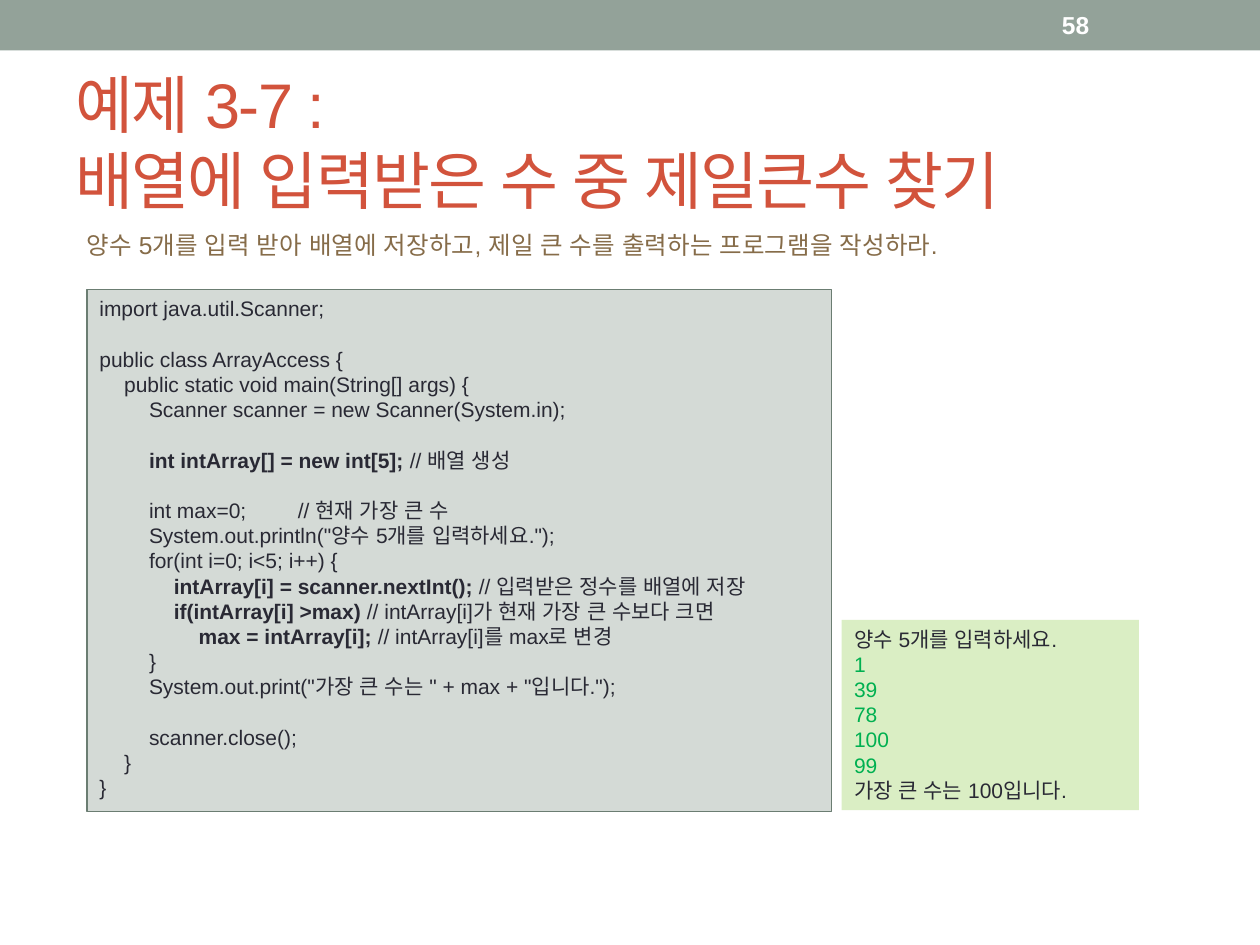
"""Build the slide for example 3-7: finding the largest number in an array."""
from dataclasses import dataclass
from typing import Optional

from lxml.etree import SubElement
from pptx import Presentation
from pptx.dml.color import RGBColor
from pptx.enum.shapes import MSO_SHAPE as Shape
from pptx.enum.text import MSO_ANCHOR as Anchor, MSO_AUTO_SIZE as AutoSize, PP_ALIGN as Align
from pptx.oxml.ns import qn
from pptx.util import Inches, Pt


@dataclass(frozen=True)
class Theme:
    """Colours, type sizes and font of the slide."""
    font: str = "Arial"
    bar: str = "93A299"
    title: str = "D2533C"
    task: str = "866C49"
    ink: str = "292934"
    typed: str = "00B050"
    white: str = "FFFFFF"
    code_fill: str = "D4DAD6"
    code_line: str = "6B7D72"
    console_fill: str = "DAEEC4"
    title_size: float = 36
    task_size: float = 14
    code_size: float = 12
    leading: float = 1.2
    tab: float = 0.197


@dataclass(frozen=True)
class Box:
    """Left, top, width and height in inches."""
    left: float
    top: float
    width: float
    height: float

    def lengths(self):
        """Return the four measures as lengths."""
        return [Inches(n) for n in (self.left, self.top, self.width, self.height)]


@dataclass(frozen=True)
class CodeLine:
    """One line of code: depth, plain part, bold part and closing comment."""
    depth: int = 0
    plain: str = ""
    strong: str = ""
    note: str = ""


THEME = Theme()

PROGRAM = [
    CodeLine(0, "import java.util.Scanner;"),
    CodeLine(),
    CodeLine(0, "public class ArrayAccess {"),
    CodeLine(1, "public static void main(String[] args) {"),
    CodeLine(2, "Scanner scanner = new Scanner(System.in);"),
    CodeLine(),
    CodeLine(2, strong="int intArray[] = new int[5]; ", note="// 배열 생성"),
    CodeLine(),
    CodeLine(2, "int max=0; \t\t// 현재 가장 큰 수"),
    CodeLine(2, 'System.out.println("양수 5개를 입력하세요.");'),
    CodeLine(2, "for(int i=0; i<5; i++) {"),
    CodeLine(3, strong="intArray[i] = scanner.nextInt(); ", note="// 입력받은 정수를 배열에 저장"),
    CodeLine(3, strong="if(intArray[i] >max) ", note="// intArray[i]가 현재 가장 큰 수보다 크면"),
    CodeLine(4, strong="max = intArray[i]; ", note="// intArray[i]를 max로 변경"),
    CodeLine(2, "}"),
    CodeLine(2, 'System.out.print("가장 큰 수는 " + max + "입니다.");'),
    CodeLine(),
    CodeLine(2, "scanner.close();"),
    CodeLine(1, "}"),
    CodeLine(0, "}"),
]

CONSOLE = [
    ("양수 5개를 입력하세요.", THEME.ink),
    *[(number, THEME.typed) for number in ("1", "39", "78", "100", "99")],
    ("가장 큰 수는 100입니다.", THEME.ink),
]


def add_run(paragraph, text: str, size: float, color: str, bold: bool = False):
    """Append one formatted run and return it."""
    run = paragraph.add_run()
    run.text = text
    run.font.name = THEME.font
    run.font.size = Pt(size)
    run.font.bold = bold
    run.font.color.rgb = RGBColor.from_string(color)
    SubElement(run.font._element, qn("a:ea"), typeface=THEME.font)
    return run


def next_paragraph(frame, index: int, size: float):
    """Return the paragraph at index, adding it when it is not the first."""
    paragraph = frame.add_paragraph() if index else frame.paragraphs[0]
    paragraph.alignment = Align.LEFT
    paragraph.line_spacing = Pt(size * THEME.leading)
    return paragraph


def set_tabs(paragraph, count: int = 10) -> None:
    """Give the paragraph evenly spaced tab stops."""
    stops = SubElement(paragraph._p.get_or_add_pPr(), qn("a:tabLst"))
    for step in range(1, count + 1):
        SubElement(stops, qn("a:tab"), pos=str(Inches(THEME.tab * step)), algn="l")


def add_panel(slide, box: Box, fill: str, line: Optional[str] = None):
    """Draw a flat rectangle and return its text frame."""
    panel = slide.shapes.add_shape(Shape.RECTANGLE, *box.lengths())
    panel.shadow.inherit = False
    panel.fill.solid()
    panel.fill.fore_color.rgb = RGBColor.from_string(fill)
    if line:
        panel.line.color.rgb = RGBColor.from_string(line)
        panel.line.width = Pt(0.75)
    else:
        panel.line.fill.background()
    panel.text_frame.word_wrap = True
    panel.text_frame.vertical_anchor = Anchor.TOP
    return panel.text_frame


def add_label(slide, box: Box, text: str, color: str, anchor: Anchor, bold: bool = False) -> None:
    """Draw a one-line text box."""
    frame = slide.shapes.add_textbox(*box.lengths()).text_frame
    frame.word_wrap = True
    frame.vertical_anchor = anchor
    add_run(next_paragraph(frame, 0, THEME.task_size), text, THEME.task_size, color, bold)


def fill_title(slide, box: Box, lines: list[str]) -> None:
    """Place the title and set its lines."""
    title = slide.shapes.title
    title.left, title.top, title.width, title.height = box.lengths()
    frame = title.text_frame
    frame.word_wrap = True
    frame.auto_size = AutoSize.NONE
    frame.vertical_anchor = Anchor.MIDDLE
    paragraph = next_paragraph(frame, 0, THEME.title_size)
    for index, line in enumerate(lines):
        if index:
            paragraph.add_line_break()
        run = add_run(paragraph, line, THEME.title_size, THEME.title)
        run.font._element.set("spc", "-100")


def fill_code(frame, program: list[CodeLine]) -> None:
    """Write the program with tab indents and bold key statements."""
    for index, line in enumerate(program):
        paragraph = next_paragraph(frame, index, THEME.code_size)
        set_tabs(paragraph)
        paragraph.font.size = Pt(THEME.code_size)
        parts = [("\t" * line.depth + line.plain, False), (line.strong, True), (line.note, False)]
        for text, bold in parts:
            if text:
                add_run(paragraph, text, THEME.code_size, THEME.ink, bold)


def fill_console(frame, lines: list[tuple[str, str]]) -> None:
    """Write the sample session."""
    for index, (text, color) in enumerate(lines):
        add_run(next_paragraph(frame, index, THEME.code_size), text, THEME.code_size, color)


def main() -> None:
    """Build and save the presentation."""
    deck = Presentation()
    deck.slide_width, deck.slide_height = Inches(10), Inches(7.5)
    slide = deck.slides.add_slide(deck.slide_layouts.get_by_name("Title Only"))
    add_panel(slide, Box(0, 0, 10, 0.4), THEME.bar)
    fill_title(slide, Box(0.5, 0.58, 9, 1.08), ["예제 3-7 : ", "배열에 입력받은 수 중 제일큰수 찾기"])
    add_label(slide, Box(0.59, 1.78, 8.55, 0.34),
              "양수 5개를 입력 받아 배열에 저장하고, 제일 큰 수를 출력하는 프로그램을 작성하라.",
              THEME.task, Anchor.TOP)
    fill_code(add_panel(slide, Box(0.69, 2.3, 5.91, 4.14), THEME.code_fill, THEME.code_line), PROGRAM)
    fill_console(add_panel(slide, Box(6.68, 4.92, 2.36, 1.51), THEME.console_fill), CONSOLE)
    add_label(slide, Box(8.33, 0.02, 1.17, 0.36), "58", THEME.white, Anchor.MIDDLE, bold=True)
    deck.save("out.pptx")


if __name__ == "__main__":
    main()
